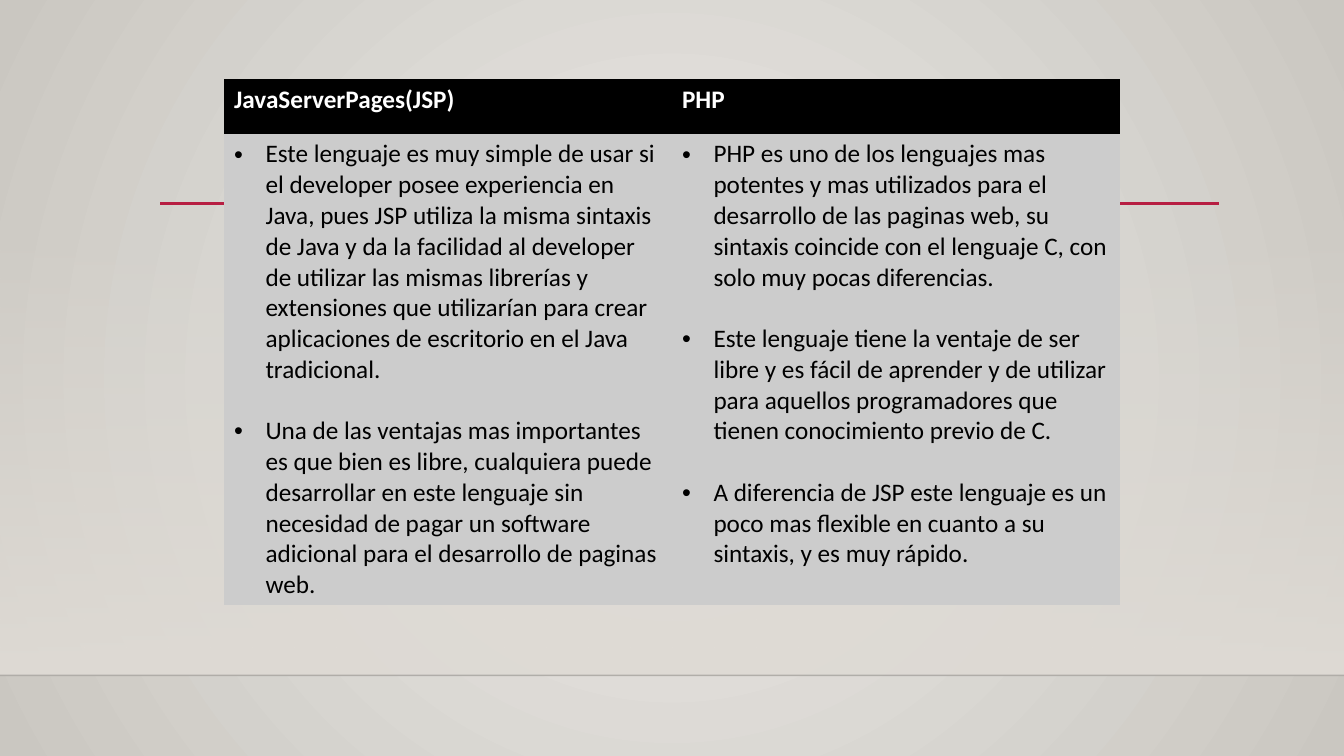
"""Build a slide comparing JSP and PHP in a two-column table."""
from lxml import etree
from pptx import Presentation
from pptx.dml.color import RGBColor
from pptx.enum.shapes import MSO_CONNECTOR, MSO_SHAPE
from pptx.oxml.ns import qn
from pptx.util import Pt

RECTANGLE = MSO_SHAPE.RECTANGLE
STRAIGHT = MSO_CONNECTOR.STRAIGHT

BLACK = RGBColor(0x00, 0x00, 0x00)
WHITE = RGBColor(0xFF, 0xFF, 0xFF)
CELL_GRAY = RGBColor(0xCC, 0xCC, 0xCC)
CRIMSON = RGBColor(0xB7, 0x1E, 0x42)
WALL_LIGHT = RGBColor(0xEC, 0xEA, 0xE7)
WALL_DARK = RGBColor(0xCA, 0xC7, 0xC1)
WALL_TINT = RGBColor(0xDF, 0xDB, 0xD5)

PAGE_WIDTH, PAGE_HEIGHT = 960, 540
FLOOR_TOP = 482.4
PLAIN_TABLE_STYLE = "{2D5ABB26-0587-4C30-8999-92F81FD0307C}"

LANGUAGES = {
    "JavaServerPages(JSP)": [
        "Este lenguaje es muy simple de usar si el developer posee experiencia en "
        "Java, pues JSP utiliza la misma sintaxis de Java y da la facilidad al "
        "developer de utilizar las mismas librerías y extensiones que utilizarían "
        "para crear aplicaciones de escritorio en el Java tradicional.",
        "Una de las ventajas mas importantes es que bien es libre, cualquiera puede "
        "desarrollar en este lenguaje sin necesidad de pagar un software adicional "
        "para el desarrollo de paginas web.",
    ],
    "PHP": [
        "PHP es uno de los lenguajes mas potentes y mas utilizados para el "
        "desarrollo de las paginas web, su sintaxis coincide con el lenguaje C, "
        "con solo muy pocas diferencias.",
        "Este lenguaje tiene la ventaje de ser libre y es fácil de aprender y de "
        "utilizar para aquellos programadores que tienen conocimiento previo de C.",
        "A diferencia de JSP este lenguaje es un poco mas flexible en cuanto a su "
        "sintaxis, y es muy rápido.",
    ],
}


class SlideBuilder:
    """Hold the text style and the current slide."""

    def __init__(self, page, font_name="Calibri", font_size=18):
        """Keep the slide and its text style."""
        self.page = page
        self.font_name = font_name
        self.font_size = font_size

    def set_gradient(self, fill, colors):
        """Give a fill a gradient between two colours."""
        fill.gradient()
        for stop, color in zip(fill.gradient_stops, colors):
            stop.color.rgb = color

    def set_opacity(self, parent, percent):
        """Set the opacity of the first colour below an element."""
        color = parent.find(".//" + qn("a:srgbClr"))
        etree.SubElement(color, qn("a:alpha"), val=str(percent * 1000))

    def add_background(self, center, edge):
        """Fill the slide with a circular gradient."""
        self.set_gradient(self.page.background.fill, (center, edge))
        gradient = self.page.element.find(".//" + qn("a:gradFill"))
        linear = gradient.find(qn("a:lin"))
        circle = etree.Element(qn("a:path"), path="circle")
        sides = dict.fromkeys("ltrb", "50000")
        etree.SubElement(circle, qn("a:fillToRect"), sides)
        gradient.replace(linear, circle)

    def add_fade(self, left, top, width, height, color):
        """Add a rectangle that fades in from top to bottom."""
        box = self.page.shapes.add_shape(
            RECTANGLE, Pt(left), Pt(top), Pt(width), Pt(height))
        box.shadow.inherit = False
        box.line.fill.background()
        self.set_gradient(box.fill, (color, color))
        box.fill.gradient_angle = 270
        self.set_opacity(box.element.spPr, 0)

    def add_rule(self, left, right, top, color, weight, opacity=100):
        """Add a horizontal line."""
        rule = self.page.shapes.add_connector(
            STRAIGHT, Pt(left), Pt(top), Pt(right), Pt(top))
        rule.line.color.rgb = color
        rule.line.width = Pt(weight)
        properties = rule.element.spPr
        if opacity < 100:
            self.set_opacity(properties, opacity)
        etree.SubElement(properties, qn("a:effectLst"))

    def add_bullet(self, para, indent=22.5):
        """Give a paragraph a hanging bullet."""
        properties = para._p.get_or_add_pPr()
        properties.set("marL", str(Pt(indent)))
        properties.set("indent", str(-Pt(indent)))
        etree.SubElement(properties, qn("a:buFont"), typeface="Arial")
        etree.SubElement(properties, qn("a:buChar"), char="•")

    def fill_cell(self, cell, texts, fill, color, header=False):
        """Write paragraphs into a filled cell."""
        cell.fill.solid()
        cell.fill.fore_color.rgb = fill
        cell.text = "\n".join(texts)
        for index, para in enumerate(cell.text_frame.paragraphs):
            if index:
                para.space_before = Pt(22)
            if not header:
                self.add_bullet(para)
            para.font.name = self.font_name
            para.font.size = Pt(self.font_size)
            para.font.bold = header
            para.font.color.rgb = color

    def add_comparison(self, left, top, width, row_heights, columns):
        """Add a table with one headed column per subject."""
        frame = self.page.shapes.add_table(
            len(row_heights), len(columns),
            Pt(left), Pt(top), Pt(width), Pt(sum(row_heights)))
        frame.element.find(".//" + qn("a:tableStyleId")).text = PLAIN_TABLE_STYLE
        table = frame.table
        for row, height in zip(table.rows, row_heights):
            row.height = Pt(height)
        for index, (heading, points) in enumerate(columns.items()):
            self.fill_cell(table.cell(0, index), [heading], BLACK, WHITE, True)
            self.fill_cell(table.cell(1, index), points, CELL_GRAY, BLACK)


def main():
    """Create the deck and save it."""
    deck = Presentation()
    deck.slide_width, deck.slide_height = Pt(PAGE_WIDTH), Pt(PAGE_HEIGHT)
    builder = SlideBuilder(deck.slides.add_slide(deck.slide_layouts[6]))
    builder.add_background(WALL_LIGHT, WALL_DARK)
    builder.add_fade(0, 159, PAGE_WIDTH, FLOOR_TOP - 159, WALL_TINT)
    builder.add_rule(0, PAGE_WIDTH, FLOOR_TOP, BLACK, 1, opacity=20)
    builder.add_rule(114.5, 871, 145.2, CRIMSON, 2.5)
    builder.add_comparison(160, 56.7, 640, (39, 336), LANGUAGES)
    deck.save("out.pptx")


if __name__ == "__main__":
    main()
